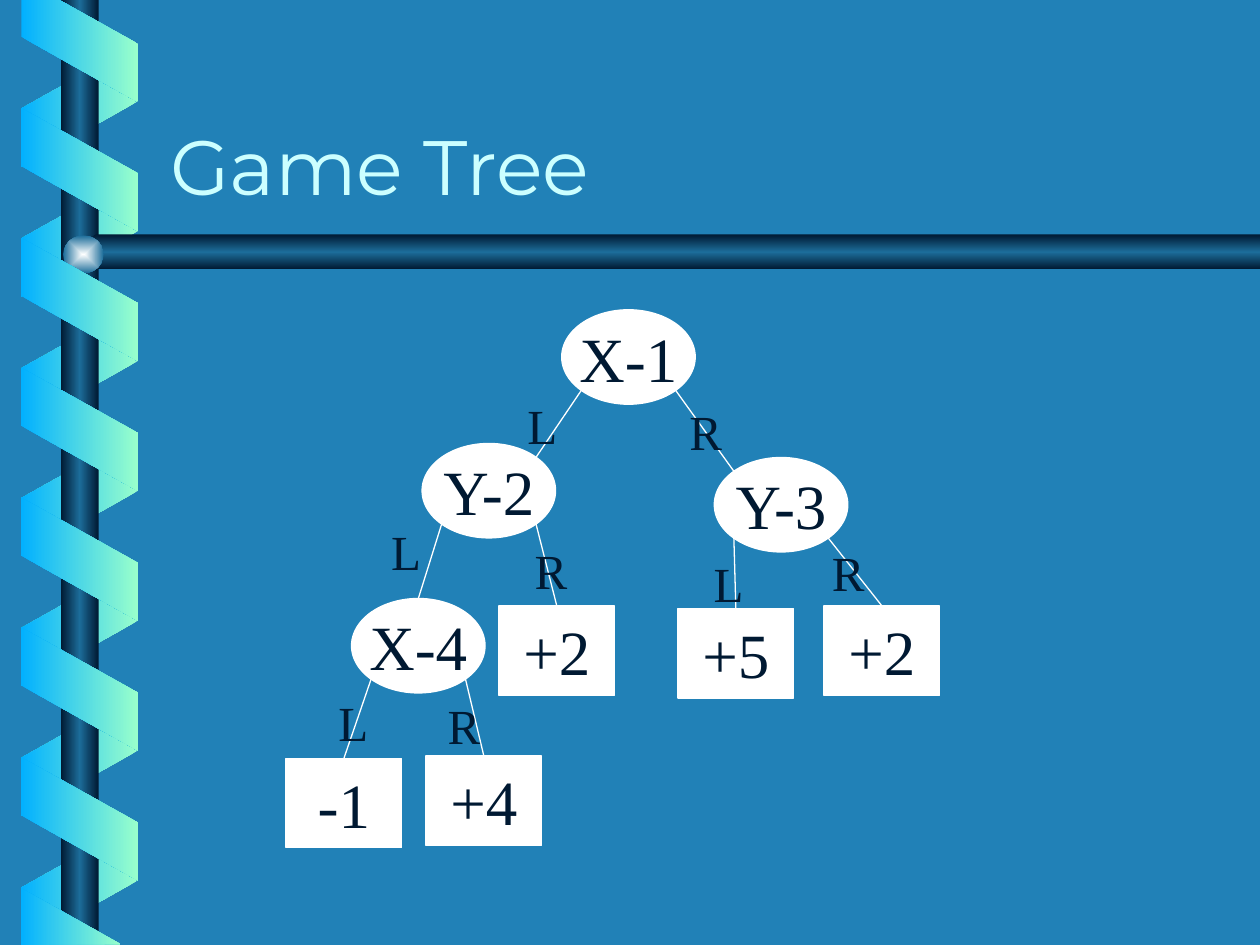
from dataclasses import dataclass

from lxml.etree import SubElement
from pptx import Presentation
from pptx.dml.color import RGBColor
from pptx.enum.shapes import MSO_CONNECTOR, MSO_SHAPE
from pptx.enum.text import MSO_ANCHOR, MSO_AUTO_SIZE, PP_ALIGN
from pptx.oxml.ns import qn
from pptx.util import Pt

OVAL, RECT, SLANT = MSO_SHAPE.OVAL, MSO_SHAPE.RECTANGLE, MSO_SHAPE.PARALLELOGRAM
LINE = MSO_CONNECTOR.STRAIGHT
LEFT, MID, RIGHT = PP_ALIGN.LEFT, PP_ALIGN.CENTER, PP_ALIGN.RIGHT
BASE, HALF = MSO_ANCHOR.BOTTOM, MSO_ANCHOR.MIDDLE
GROW = MSO_AUTO_SIZE.SHAPE_TO_FIT_TEXT
SIZES = {OVAL: (76.3, 54), RECT: (66.2, 51.1)}
WIDTHS = {"L": 31.7, "R": 33.1}
SIDES = {"L": -1, "R": 1}
COOL = [(0, "01B0FF"), (100, "99FFCC")]
WARM = [(0, "99FFCC"), (100, "01B0FF")]
STEEL = [(0, "001932"), (50, "1C6D9A"), (100, "001932")]
GLOW = [(0, "FEFFFF"), (100, "1C6D9A")]
STEP = 74.2
NAVY, WHITE = "001932", "FFFFFF"


@dataclass
class Node:
    text: str
    kind: int
    left: float
    top: float


@dataclass
class Edge:
    start: str
    end: str
    mark: str
    left: float
    top: float
    joined: bool = True


NODES = {
    "root": Node("X-1", OVAL, 321, 177),
    "two": Node("Y-2", OVAL, 241.2, 253.4),
    "three": Node("Y-3", OVAL, 408.2, 261.4),
    "four": Node("X-4", OVAL, 200.9, 342),
    "leaf a": Node("+2", RECT, 285.1, 346.3),
    "leaf b": Node("-1", RECT, 163.4, 433.4),
    "leaf c": Node("+4", RECT, 243.4, 432),
    "leaf d": Node("+5", RECT, 387.4, 347.8),
    "leaf e": Node("+2", RECT, 470.9, 346.3),
}
EDGES = [
    Edge("root", "two", "L", 293.8, 222.5, False),
    Edge("root", "three", "R", 386.6, 226.1, False),
    Edge("two", "four", "L", 216, 294.5),
    Edge("two", "leaf a", "R", 298.1, 305.3),
    Edge("four", "leaf b", "L", 185.8, 392.4),
    Edge("four", "leaf c", "R", 248.4, 393.8),
    Edge("three", "leaf d", "L", 400.3, 312.5),
    Edge("three", "leaf e", "R", 468, 306.7),
]


def hue(code: str) -> RGBColor:
    return RGBColor.from_string(code)


def write(frame, text: str, size: float, face: str, code: str, align) -> None:
    para = frame.paragraphs[0]
    para.alignment = align
    run = para.add_run()
    run.text = text
    style = {"size": Pt(size), "name": face, "bold": False}
    for key, value in style.items():
        setattr(run.font, key, value)
    run.font.color.rgb = hue(code)


def blend(shape, stops: list, angle: int = 0, burst: bool = False) -> None:
    shape.shadow.inherit = False
    shape.line.fill.background()
    shape.fill.gradient()
    grad = shape._element.spPr.find(qn("a:gradFill"))
    for child in list(grad):
        grad.remove(child)
    grad.set("rotWithShape", "0")
    group = SubElement(grad, qn("a:gsLst"))
    for place, code in stops:
        stop = SubElement(group, qn("a:gs"), pos=str(place * 1000))
        SubElement(stop, qn("a:srgbClr"), val=code)
    if burst:
        way = SubElement(grad, qn("a:path"), path="rect")
        SubElement(way, qn("a:fillToRect"), {side: "50000" for side in "ltrb"})
    else:
        SubElement(grad, qn("a:lin"), ang=str(angle * 60000), scaled="0")


def place(slide, kind: int, left: float, top: float, width: float, height: float):
    return slide.shapes.add_shape(kind, Pt(left), Pt(top), Pt(width), Pt(height))


def fold(slide, top: float, front: bool) -> None:
    shape = place(slide, SLANT, 10.1, top, 70.6, 67)
    shape.adjustments[0] = 0.56
    shape.rotation = 270 if front else 90
    if not front:
        shape._element.spPr.xfrm.set("flipH", "1")
    blend(shape, COOL if front else WARM)


def trace(slide, dots: list, stops: list, angle: int = 0) -> None:
    first, *rest = [(Pt(x), Pt(y)) for x, y in dots]
    path = slide.shapes.build_freeform(*first)
    path.add_line_segments(rest, close=True)
    blend(path.convert_to_shape(), stops, angle)


def draw_node(slide, node: Node):
    shape = place(slide, node.kind, node.left, node.top, *SIZES[node.kind])
    shape.shadow.inherit = False
    shape.fill.solid()
    shape.fill.fore_color.rgb = hue(WHITE)
    shape.line.color.rgb = hue(WHITE)
    shape.line.width = Pt(0.75)
    frame = shape.text_frame
    frame.word_wrap = False
    frame.vertical_anchor = HALF
    write(frame, node.text, 36, "Times New Roman", NAVY, MID)
    return shape


def rim(node: Node, across: int, down: int) -> tuple:
    width, height = SIZES[node.kind]
    reach = 0.5 ** 0.5
    x = node.left + width / 2 * (1 + across * reach)
    y = node.top + height / 2 * (1 + down * reach)
    return Pt(x), Pt(y)


def draw_edge(slide, edge: Edge, shapes: dict) -> None:
    side = SIDES[edge.mark]
    start = rim(NODES[edge.start], side, 1)
    end = rim(NODES[edge.end], -side, -1)
    link = slide.shapes.add_connector(LINE, *start, *end)
    if edge.joined:
        link.end_connect(shapes[edge.end], 0)
    link.line.color.rgb = hue(WHITE)
    link.line.width = Pt(0.75)
    SubElement(link._element.spPr, qn("a:effectLst"))


def draw_mark(slide, edge: Edge) -> None:
    box = slide.shapes.add_textbox(
        Pt(edge.left), Pt(edge.top), Pt(WIDTHS[edge.mark]), Pt(41))
    box.text_frame.word_wrap = False
    box.text_frame.auto_size = GROW
    write(box.text_frame, edge.mark, 28, "Times New Roman", NAVY, RIGHT)


def draw_spine(slide) -> None:
    for row in range(7):
        fold(slide, 26.5 + row * STEP, False)
    blend(place(slide, RECT, 34.8, 0, 21.6, 540), STEEL)
    bar = [(720, 134), (54.7, 134), (43.2, 144), (54.7, 154), (720, 154)]
    trace(slide, bar, STEEL, 90)
    blend(place(slide, OVAL, 36.2, 134.6, 23, 21.6), GLOW, burst=True)
    for row in range(6):
        fold(slide, 63.4 + row * STEP, True)
    trace(slide, [(12.2, 0), (12.2, 21), (78.6, 58.2), (78.6, 25), (34, 0)], COOL)
    trace(slide, [(68.8, 539.5), (12.2, 507.6), (12, 540)], COOL)


def main() -> None:
    deck = Presentation()
    deck.slide_width, deck.slide_height = Pt(720), Pt(540)
    slide = deck.slides.add_slide(deck.slide_layouts[5])
    slide.background.fill.solid()
    slide.background.fill.fore_color.rgb = hue("2181B7")
    draw_spine(slide)
    title = slide.shapes.title
    area = {"left": 90, "top": 64.1, "width": 612, "height": 59.8}
    for key, value in area.items():
        setattr(title, key, Pt(value))
    title.text_frame.vertical_anchor = BASE
    write(title.text_frame, "Game Tree", 44, "Montserrat", "CCFFFF", LEFT)
    shapes = {name: draw_node(slide, node) for name, node in NODES.items()}
    for edge in EDGES:
        draw_edge(slide, edge, shapes)
        draw_mark(slide, edge)
    deck.save("out.pptx")


if __name__ == "__main__":
    main()
